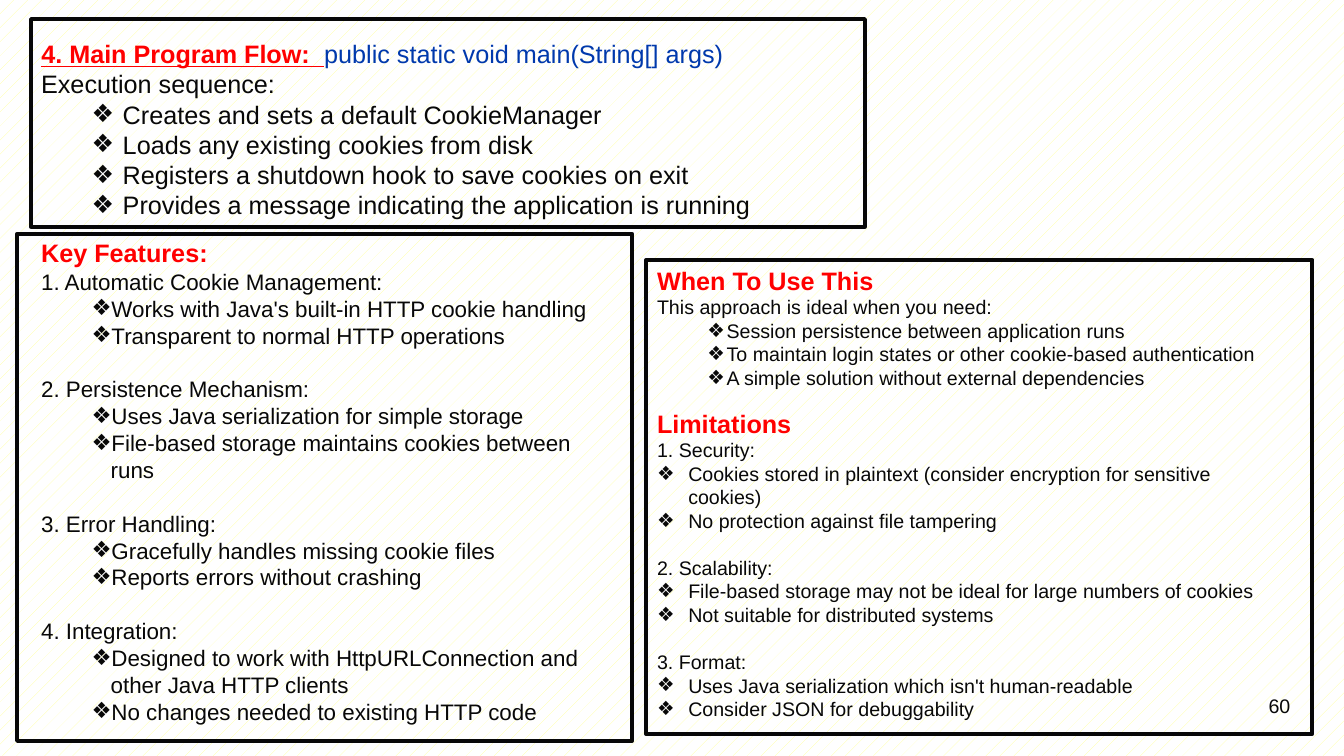
from lxml import etree
from pptx import Presentation
from pptx.dml.color import RGBColor
from pptx.enum.dml import MSO_PATTERN
from pptx.enum.shapes import MSO_SHAPE
from pptx.enum.text import MSO_ANCHOR, MSO_AUTO_SIZE, PP_ALIGN
from pptx.oxml.ns import qn
from pptx.util import Inches, Pt

COLORS = {"ink": "080808", "head": "FF0000", "code": "0039AC",
          "paper": "FFFFFF", "pattern": "FFFF99"}
FONT = "Arial"
COLS, ROWS = 160, 90
CELL = Inches(1) / 12

FLOW_HEAD = "4. Main Program Flow:  "
FLOW_CODE = "public static void main(String[] args)"
FLOW = [("Execution sequence:", [
    "Creates and sets a default CookieManager",
    "Loads any existing cookies from disk",
    "Registers a shutdown hook to save cookies on exit",
    "Provides a message indicating the application is running"])]
FEATURES = [
    ("1. Automatic Cookie Management:", [
        "Works with Java's built-in HTTP cookie handling",
        "Transparent to normal HTTP operations"]),
    ("2. Persistence Mechanism:", [
        "Uses Java serialization for simple storage",
        "File-based storage maintains cookies between runs"]),
    ("3. Error Handling:", [
        "Gracefully handles missing cookie files",
        "Reports errors without crashing"]),
    ("4. Integration:", [
        "Designed to work with HttpURLConnection and other Java HTTP clients",
        "No changes needed to existing HTTP code"])]
USES = [("This approach is ideal when you need:", [
    "Session persistence between application runs",
    "To maintain login states or other cookie-based authentication",
    "A simple solution without external dependencies"])]
LIMITS = [
    ("1. Security:", [
        "Cookies stored in plaintext (consider encryption for sensitive cookies)",
        "No protection against file tampering"]),
    ("2. Scalability:", [
        "File-based storage may not be ideal for large numbers of cookies",
        "Not suitable for distributed systems"]),
    ("3. Format:", [
        "Uses Java serialization which isn't human-readable",
        "Consider JSON for debuggability"])]


def color(name):
    return RGBColor.from_string(COLORS[name])


def grid(*cells):
    return [round(c * CELL) for c in cells]


def style(r, size, name="ink", bold=False, underline=False):
    font = r.font
    font.name, font.size, font.bold, font.underline = FONT, Pt(size), bold, underline
    font.color.rgb = color(name)


def add_bullet(p, margin, hang):
    pPr = p._p.get_or_add_pPr()
    pPr.set("marL", str(Inches(margin)))
    pPr.set("indent", str(-Inches(hang)))
    etree.SubElement(pPr, qn("a:buFont")).set("typeface", FONT)
    etree.SubElement(pPr, qn("a:buChar")).set("char", "❖")


def add_line(tf, text, size, name="ink", bold=False, before=0):
    p = tf.paragraphs[0]
    if p.runs:
        p = tf.add_paragraph()
    p.text = text
    p.space_before = Pt(before)
    style(p.runs[0], size, name, bold)
    return p


def add_groups(tf, groups, size, margin, hang):
    for i, (lead, points) in enumerate(groups):
        add_line(tf, lead, size, before=1.2 * size if i else 0)
        for point in points:
            add_bullet(add_line(tf, point, size), margin, hang)


def add_text(s, x, y, w, h):
    tf = s.shapes.add_textbox(*grid(x, y, w, h)).text_frame
    tf.word_wrap = True
    return tf


def add_frame(s, box):
    sp = s.shapes.add_shape(MSO_SHAPE.RECTANGLE, *grid(*box))
    sp.shadow.inherit = False
    sp.fill.background()
    sp.line.color.rgb = color("ink")
    sp.line.width = Pt(3)


def flow_panel(s, box):
    x, y, w, h = box
    title = s.shapes.title
    title.left, title.top, title.width, title.height = grid(x, y + 1.68, w, 4.5)
    tf = title.text_frame
    tf.word_wrap, tf.auto_size = True, MSO_AUTO_SIZE.NONE
    tf.vertical_anchor = MSO_ANCHOR.TOP
    p = add_line(tf, FLOW_HEAD, 18, "head", True)
    p.alignment = PP_ALIGN.LEFT
    p.runs[0].font.underline = True
    r = p.add_run()
    r.text = FLOW_CODE
    style(r, 18, "code")
    add_groups(add_text(s, x, y + 5.3, w, h - 5.3), FLOW, 18, 0.81, 0.31)
    add_frame(s, box)


def features_panel(s, box):
    x, y, w, h = box
    tf = add_text(s, x + 1.68, y - 0.12, w - 2.88, h - 0.6)
    add_line(tf, "Key Features:", 18, "head", True)
    add_groups(tf, FEATURES, 16, 0.69, 0.19)
    add_frame(s, box)


def usage_panel(s, box):
    x, y, w, h = box
    tf = add_text(s, x + 0.12, y, w - 3, h - 1)
    add_line(tf, "When To Use This", 18, "head", True)
    add_groups(tf, USES, 14, 0.69, 0.19)
    add_line(tf, "Limitations", 18, "head", True, before=13.2)
    add_groups(tf, LIMITS, 14, 0.31, 0.31)
    add_frame(s, box)


def page_number(s, box):
    p = add_line(add_text(s, *box), "60", 14)
    p.alignment = PP_ALIGN.RIGHT


def main():
    prs = Presentation()
    prs.slide_width, prs.slide_height = grid(COLS, ROWS)
    s = prs.slides.add_slide(prs.slide_layouts[5])
    fill = s.background.fill
    fill.patterned()
    fill.pattern = MSO_PATTERN.PERCENT_5
    fill.fore_color.rgb = color("pattern")
    fill.back_color.rgb = color("paper")
    flow_panel(s, (3.72, 2.28, 99.24, 24.72))
    features_panel(s, (2.04, 27.84, 73.2, 60.36))
    usage_panel(s, (76.92, 30.96, 79.32, 56.4))
    page_number(s, (114.72, 81.96, 40.08, 6.24))
    prs.save("out.pptx")


if __name__ == "__main__":
    main()
